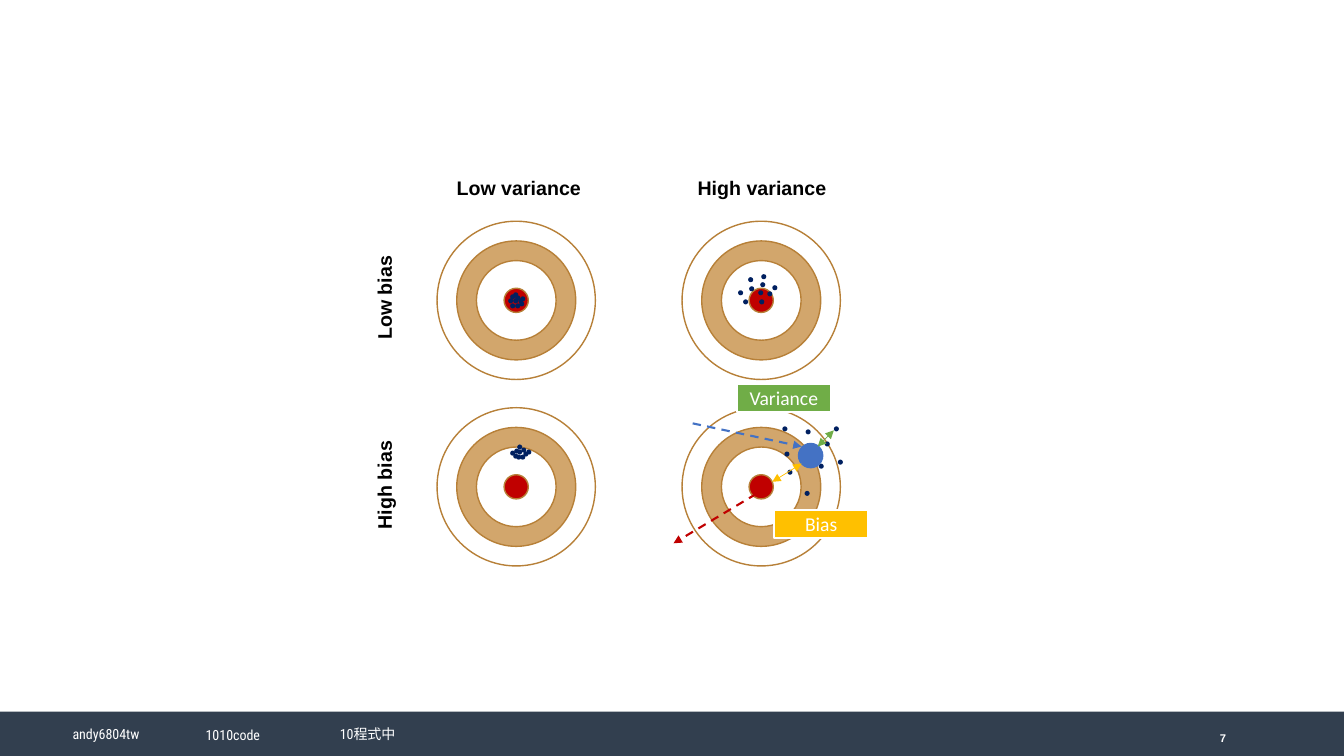
"""Build the bias and variance target diagram slide."""
from lxml import etree
from pptx import Presentation
from pptx.dml.color import RGBColor
from pptx.enum import dml, shapes, text
from pptx.oxml import ns
from pptx.util import Inches, Pt

COLORS = {
    "footer": "323F4F", "white": "FFFFFF", "black": "000000", "ring": "D2A66C",
    "outline": "B78038", "red": "C00000", "navy": "002060", "blue": "4472C4",
    "yellow": "FFC000", "green": "70AD47",
}

presentation = Presentation()
presentation.slide_width = Inches(13.33)
presentation.slide_height = Inches(7.5)
slide = presentation.slides.add_slide(presentation.slide_layouts[6])


def add_filled(kind, left, top, width, height, fill=None, line=None, line_width=1):
    shape = slide.shapes.add_shape(
        kind, Inches(left), Inches(top), Inches(width), Inches(height))
    shape.shadow.inherit = False
    if fill:
        shape.fill.solid()
        shape.fill.fore_color.rgb = RGBColor.from_string(COLORS[fill])
    else:
        shape.fill.background()
    if line:
        shape.line.color.rgb = RGBColor.from_string(COLORS[line])
        shape.line.width = Pt(line_width)
    else:
        shape.line.fill.background()
    return shape


def write_text(shape, words, size, font, color, bold=False):
    shape.text_frame.text = words
    paragraph = shape.text_frame.paragraphs[0]
    run_font = paragraph.runs[0].font
    run_font.size = Pt(size)
    run_font.name = font
    run_font.bold = bold
    run_font.color.rgb = RGBColor.from_string(COLORS[color])
    return paragraph


add_filled(shapes.MSO_SHAPE.RECTANGLE, 0, 7.06, 13.33, 0.44, "footer")
for left, top, words in [
    (0.64, 7.12, "andy6804tw"), (1.96, 7.13, "1010code"), (3.29, 7.12, "10程式中"),
]:
    credit = slide.shapes.add_textbox(Inches(left), Inches(top), Inches(0.93), Inches(0.33))
    frame = credit.text_frame
    frame.word_wrap = True
    frame.vertical_anchor = text.MSO_ANCHOR.MIDDLE
    frame.margin_left = frame.margin_right = Inches(0.08)
    frame.margin_top = frame.margin_bottom = Inches(0.08)
    write_text(credit, words, 10, "Roboto Condensed", "white")

page_number = slide.shapes.add_textbox(Inches(11.8), Inches(7.15), Inches(0.46), Inches(0.35))
page_number.text_frame.word_wrap = True
page_number.text_frame.vertical_anchor = text.MSO_ANCHOR.MIDDLE
write_text(page_number, "7", 8, "Arial", "white", True).alignment = text.PP_ALIGN.RIGHT

RINGS = [(1.57, None), (1.18, "ring"), (0.79, "white"), (0.24, "red")]
for center_y in (2.98, 4.83):
    for center_x in (5.12, 7.55):
        for size, fill in RINGS:
            add_filled(shapes.MSO_SHAPE.OVAL, center_x - size / 2, center_y - size / 2,
                       size, size, fill, "outline")

SHOTS = {
    "low bias, low variance": [
        (5.04, 2.96), (5.06, 2.92), (5.09, 2.96), (5.06, 3.01), (5.11, 3.01),
        (5.11, 2.93), (5.14, 2.96), (5.09, 2.9), (5.15, 2.99), (5.16, 2.94)],
    "high bias, low variance": [
        (5.06, 4.47), (5.1, 4.45), (5.13, 4.46), (5.09, 4.5), (5.16, 4.51),
        (5.17, 4.44), (5.19, 4.48), (5.13, 4.41), (5.22, 4.46), (5.12, 4.51)],
    "low bias, high variance": [
        (7.32, 2.88), (7.52, 2.88), (7.53, 2.97), (7.54, 2.8), (7.61, 2.89),
        (7.42, 2.75), (7.55, 2.72), (7.66, 2.83), (7.37, 2.97), (7.43, 2.84)],
    "high bias, high variance": [
        (7.78, 4.48), (8.12, 4.6), (8.27, 4.23), (8.31, 4.56), (8.18, 4.38),
        (7.95, 4.44), (7.76, 4.23), (7.81, 4.66), (7.98, 4.87), (7.99, 4.26)],
}
for shots in SHOTS.values():
    for left, top in shots:
        add_filled(shapes.MSO_SHAPE.OVAL, left, top, 0.05, 0.05, "navy")

for words, left, top, width, rotation in [
    ("Low variance", 4.43, 1.72, 1.45, 0), ("High variance", 6.82, 1.72, 1.49, 0),
    ("Low bias", 3.28, 2.71, 1.15, 270), ("High bias", 3.28, 4.59, 1.15, 270),
]:
    heading = slide.shapes.add_textbox(Inches(left), Inches(top), Inches(width), Inches(0.37))
    heading.rotation = rotation
    heading.text_frame.word_wrap = True
    write_text(heading, words, 14, "Arial", "black", True).line_spacing = 0.9

add_filled(shapes.MSO_SHAPE.OVAL, 7.92, 4.4, 0.24, 0.24, "blue", "blue")

for start, end, color, width, dashed, arrowheads in [
    ((7.5, 4.9), (6.68, 5.39), "red", 1.5, True, ["tailEnd"]),
    ((6.87, 4.2), (7.95, 4.43), "blue", 1.5, True, ["tailEnd"]),
    ((7.66, 4.78), (7.95, 4.6), "yellow", 0.5, False, ["headEnd", "tailEnd"]),
    ((8.11, 4.43), (8.27, 4.27), "green", 0.5, False, ["headEnd", "tailEnd"]),
]:
    arrow = slide.shapes.add_connector(
        shapes.MSO_CONNECTOR.STRAIGHT, *map(Inches, start + end))
    arrow.line.color.rgb = RGBColor.from_string(COLORS[color])
    arrow.line.width = Pt(width)
    if dashed:
        arrow.line.dash_style = dml.MSO_LINE.DASH
    properties = arrow.line._get_or_add_ln()
    for arrowhead in arrowheads:
        etree.SubElement(properties, ns.qn(f"a:{arrowhead}"), type="triangle")
    etree.SubElement(arrow._element.spPr, ns.qn("a:effectLst"))

for words, left, top, fill in [("Bias", 7.68, 5.06, "yellow"), ("Variance", 7.31, 3.81, "green")]:
    tag = add_filled(shapes.MSO_SHAPE.RECTANGLE, left, top, 0.93, 0.28, fill, "white", 1.5)
    tag.text_frame.vertical_anchor = text.MSO_ANCHOR.MIDDLE
    write_text(tag, words, 14, "Calibri", "white").alignment = text.PP_ALIGN.CENTER

presentation.save("out.pptx")
